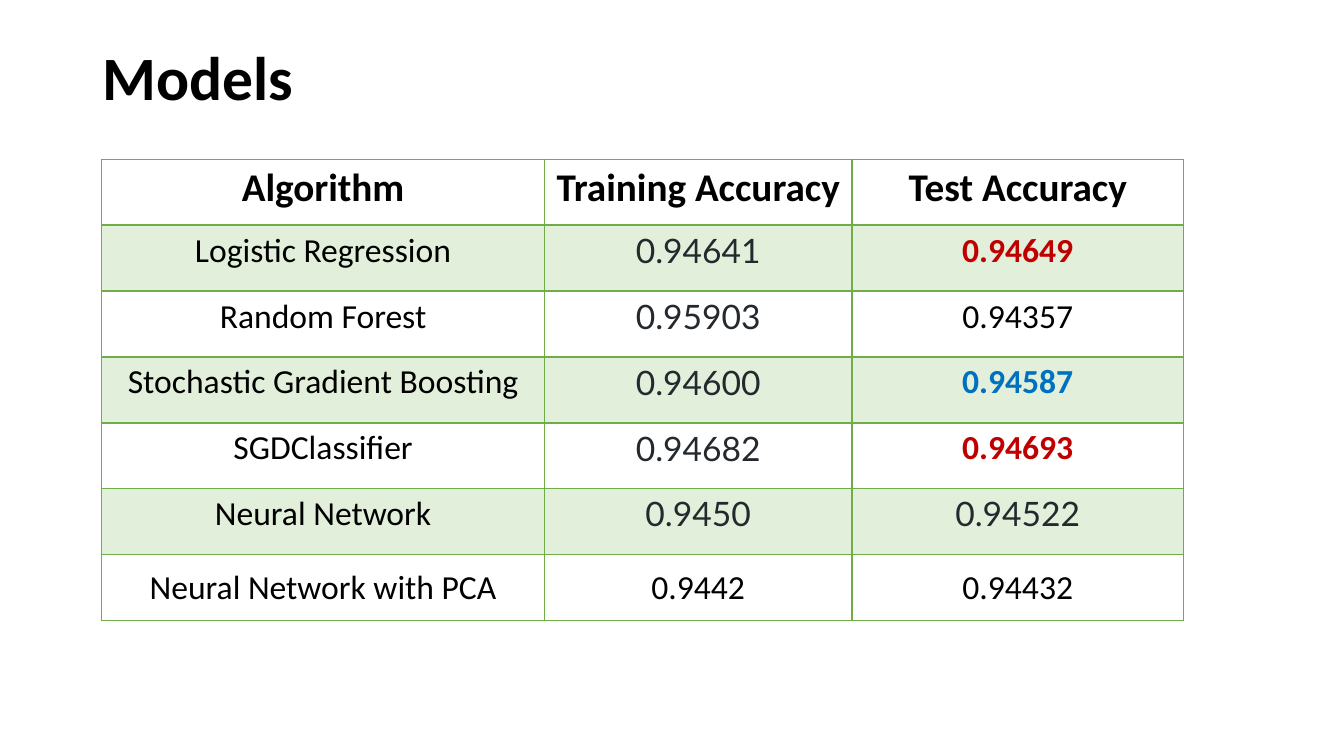
"""Builds the slide that compares the accuracy of the models."""
from lxml import etree
from pptx import Presentation, util as u
from pptx.dml import color
from pptx.enum import text as t
from pptx.oxml import ns

GREEN, BAND, BLACK, GREY, RED, BLUE = "70AD47", "E2EFDA", "000000", "24292E", "C00000", "0070C0"
HEAD = dict(size=28, bold=True)
PLAIN = dict()
LATO = dict(font="Lato", hue=GREY)
BEST = dict(hue=RED, bold=True)
NEXT = dict(hue=BLUE, bold=True)

TITLE = "Models"
ROWS = [
    [("Algorithm", HEAD), ("Training Accuracy", HEAD), ("Test Accuracy", HEAD)],
    [("Logistic Regression", PLAIN), ("0.94641", LATO), ("0.94649", BEST)],
    [("Random Forest", PLAIN), ("0.95903", LATO), ("0.94357", PLAIN)],
    [("Stochastic Gradient Boosting", PLAIN), ("0.94600", LATO), ("0.94587", NEXT)],
    [("SGDClassifier", PLAIN), ("0.94682", LATO), ("0.94693", BEST)],
    [("Neural Network", PLAIN), ("0.9450", LATO), ("0.94522", LATO)],
    [("Neural Network with PCA", PLAIN), ("0.9442", PLAIN), ("0.94432", PLAIN)],
]
WIDTHS = [4.39, 3.05, 3.29]
LEFT, TOP, HIGH = 1.01, 1.58, 4.58


def rgb(code):
    return color.RGBColor.from_string(code)


def write(frame, words, size=24, font="Calibri", hue=BLACK, bold=False,
          align=t.PP_ALIGN.CENTER, space=1.0):
    para = frame.paragraphs[0]
    para.alignment, para.line_spacing = align, space
    run = para.add_run()
    run.text = words
    run.font.size, run.font.name, run.font.bold = u.Pt(size), font, bold
    run.font.color.rgb = rgb(hue)


def edge(cell, side, width):
    line = etree.SubElement(cell._tc.get_or_add_tcPr(), ns.qn("a:ln" + side),
                            w=str(u.Pt(width)))
    fill = etree.SubElement(line, ns.qn("a:solidFill"))
    etree.SubElement(fill, ns.qn("a:srgbClr"), val=GREEN)


def main():
    deck = Presentation()
    deck.slide_width, deck.slide_height = u.Inches(13.33), u.Inches(7.5)
    slide = deck.slides.add_slide(deck.slide_layouts[6])

    box = slide.shapes.add_textbox(*map(u.Inches, (0.92, 0.15, 11.5, 1.3)))
    box.text_frame.word_wrap = True
    box.text_frame.vertical_anchor = t.MSO_ANCHOR.MIDDLE
    write(box.text_frame, TITLE, size=44, bold=True, align=t.PP_ALIGN.LEFT, space=0.9)

    place = map(u.Inches, (LEFT, TOP, sum(WIDTHS), HIGH))
    table = slide.shapes.add_table(len(ROWS), len(WIDTHS), *place).table
    table.first_row = table.horz_banding = False
    for col, width in zip(table.columns, WIDTHS):
        col.width = u.Inches(width)
    last = len(ROWS) - 1
    for r, row in enumerate(ROWS):
        table.rows[r].height = u.Inches(HIGH / len(ROWS))
        for c, (words, style) in enumerate(row):
            cell = table.cell(r, c)
            write(cell.text_frame, words, **style)
            cell.vertical_anchor = t.MSO_ANCHOR.MIDDLE if r == last else t.MSO_ANCHOR.TOP
            for side in "LRTB":
                thick = (r, side) in ((0, "B"), (1, "T"))
                edge(cell, side, 2 if thick else 1)
            if r % 2:
                cell.fill.solid()
                cell.fill.fore_color.rgb = rgb(BAND)
            else:
                cell.fill.background()

    deck.save("out.pptx")


if __name__ == "__main__":
    main()
